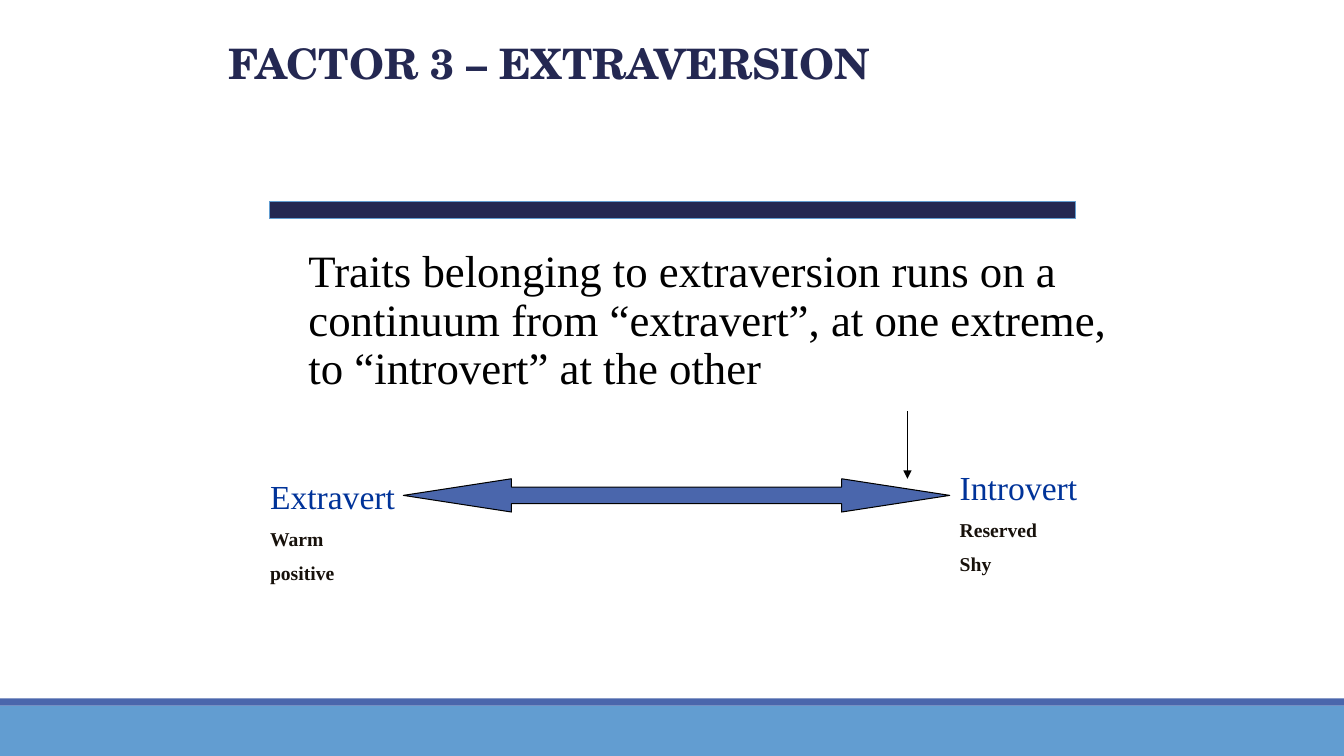
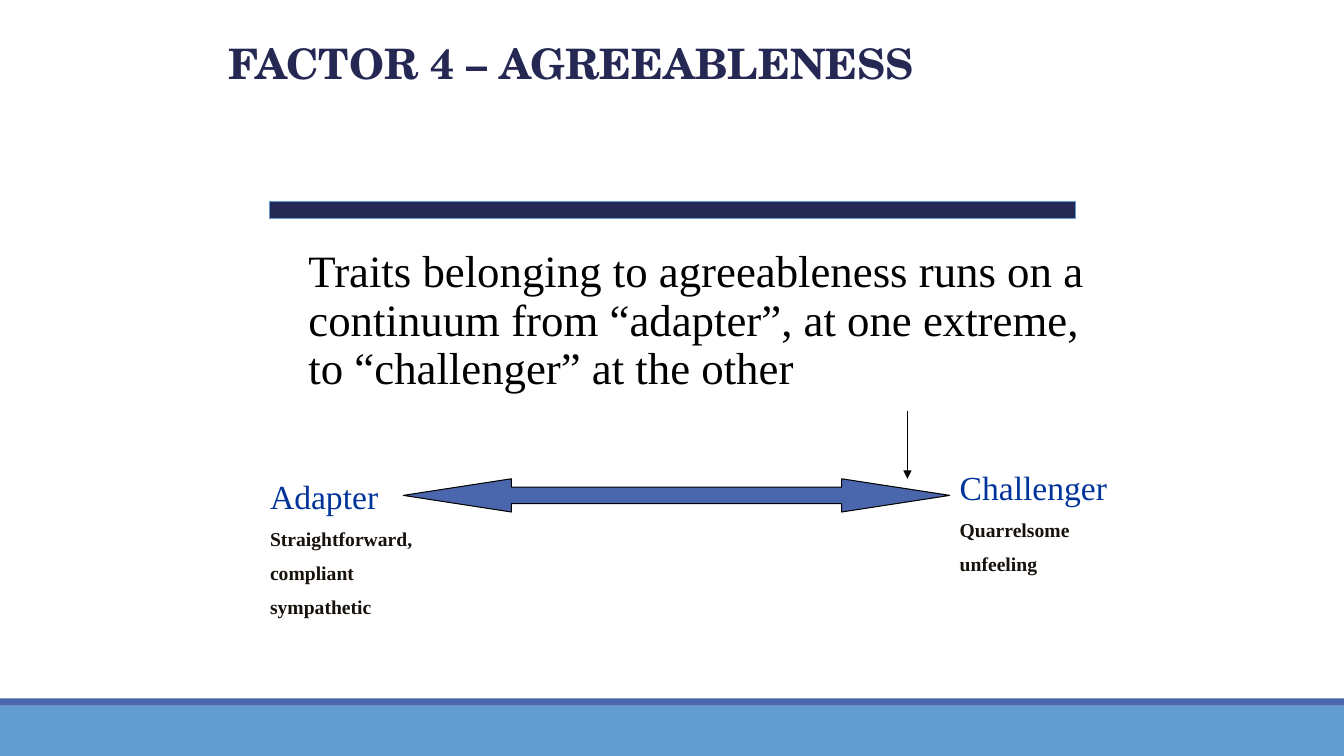
from lxml import etree
from pptx import Presentation
from pptx.dml.color import RGBColor
from pptx.enum import shapes, text
from pptx.oxml.ns import qn
from pptx.util import Inches, Pt

# Content: title, statement, left pole, right pole
FACTORS = [
    ("FACTOR 3 – EXTRAVERSION",
     "Traits belonging to extraversion runs on a continuum from "
     "“extravert”, at one extreme, to “introvert” at the other",
     ["Extravert", "Warm", "positive"],
     ["Introvert", "Reserved", "Shy"]),
    ("FACTOR 4 – AGREEABLENESS",
     "Traits belonging to agreeableness runs on a continuum from "
     "“adapter”, at one extreme, to “challenger” at the other",
     ["Adapter", "Straightforward,", "compliant", "sympathetic"],
     ["Challenger", "Quarrelsome", "unfeeling"]),
]

# Style
NAVY = RGBColor(0x24, 0x28, 0x52)
BLUE = RGBColor(0x4A, 0x66, 0xAC)
SKY = RGBColor(0x62, 0x9D, 0xD1)
POLE = RGBColor(0x00, 0x33, 0x99)
TRAIT = RGBColor(0x17, 0x11, 0x0B)
BLACK = RGBColor(0, 0, 0)
SERIF, HEAD = "Times New Roman", "TeX Gyre Schola"
WIDTH, HEIGHT = 13.33, 7.5
BANDS = [(7, 0.5, SKY), (6.93, 0.07, BLUE)]
KIND = shapes.MSO_SHAPE


def style(par, name, size, color, bold=False):
    for run in par.runs:
        font = run.font
        font.name, font.size, font.bold = name, Pt(size), bold
        font.color.rgb = color


def block(slide, kind, box, fill, line=None):
    shape = slide.shapes.add_shape(kind, *map(Inches, box))
    shape.shadow.inherit = False
    shape.fill.solid()
    shape.fill.fore_color.rgb = fill
    if line is None:
        shape.line.fill.background()
    else:
        shape.line.color.rgb = line
        shape.line.width = Pt(0.75)
    return shape


def frame(slide, box):
    area = slide.shapes.add_textbox(*map(Inches, box)).text_frame
    area.word_wrap = True
    return area


def add_bands(slide, master):
    """Draw the footer bands and hand them to the master."""
    for i, (top, height, color) in enumerate(BANDS):
        band = block(slide, KIND.RECTANGLE, (0, top, WIDTH, height), color)
        band.element.nvSpPr.cNvPr.id = 20 + i
        master.shapes.element.insert(2 + i, band.element)


def add_title(slide, words):
    title = slide.shapes.title
    title.left, title.top = Inches(2.17), Inches(0)
    title.width, title.height = Inches(9), Inches(0.92)
    area = title.text_frame
    area.text = words
    area.auto_size = text.MSO_AUTO_SIZE.NONE
    area.vertical_anchor = text.MSO_ANCHOR.BOTTOM
    par = area.paragraphs[0]
    par.alignment = text.PP_ALIGN.LEFT
    style(par, HEAD, 30, NAVY, True)


def add_body(slide, words):
    area = frame(slide, (2.58, 2.42, 8.5, 2.75))
    area.margin_left = Inches(0.48)
    area.text = words
    par = area.paragraphs[0]
    par.line_spacing = 0.9
    style(par, SERIF, 32, BLACK)


def add_pole(slide, left, top, width, words):
    height = 0.49 + 0.36 * (len(words) - 1)
    area = frame(slide, (left, top, width, height))
    area.auto_size = text.MSO_AUTO_SIZE.SHAPE_TO_FIT_TEXT
    area.text = "\n".join(words)
    name, *traits = area.paragraphs
    style(name, SERIF, 24, POLE)
    for par in traits:
        par.space_before = Pt(7.5)
        style(par, SERIF, 14, TRAIT, True)


def add_scale(slide):
    arrow = block(slide, KIND.LEFT_RIGHT_ARROW, (4, 4.75, 5.42, 0.33),
                  BLUE, BLACK)
    arrow.adjustments[0], arrow.adjustments[1] = 0.5, 3.25
    # Marker pointing down at the scale
    mark = slide.shapes.add_connector(
        shapes.MSO_CONNECTOR.STRAIGHT, *map(Inches, (9, 4.08, 9, 4.75)))
    mark.line.color.rgb = BLACK
    mark.line.width = Pt(0.75)
    etree.SubElement(mark.line._get_or_add_ln(), qn("a:tailEnd"),
                     type="triangle")
    etree.SubElement(mark.element.spPr, qn("a:effectLst"))


def main():
    deck = Presentation()
    deck.slide_width, deck.slide_height = Inches(WIDTH), Inches(HEIGHT)
    layout = deck.slide_layouts.get_by_name("Title Only")
    for i, (title, body, low, high) in enumerate(FACTORS):
        slide = deck.slides.add_slide(layout)
        if i == 0:
            add_bands(slide, deck.slide_master)
        add_title(slide, title)
        add_body(slide, body)
        block(slide, KIND.RECTANGLE, (2.67, 2, 8, 0.17), NAVY, SKY)
        add_pole(slide, 2.58, 4.67, 2.33, low)
        add_pole(slide, 9.42, 4.58, 2.25, high)
        add_scale(slide)
    deck.save("out.pptx")


if __name__ == "__main__":
    main()
